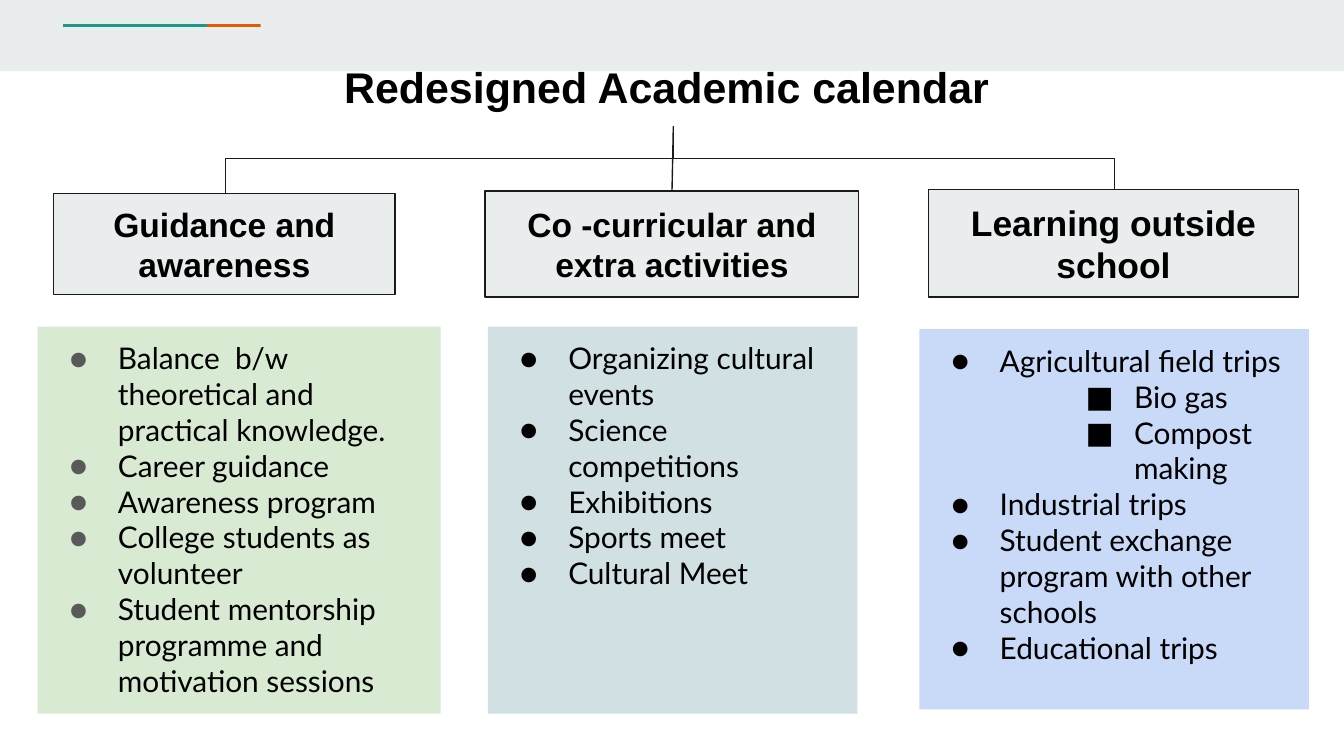
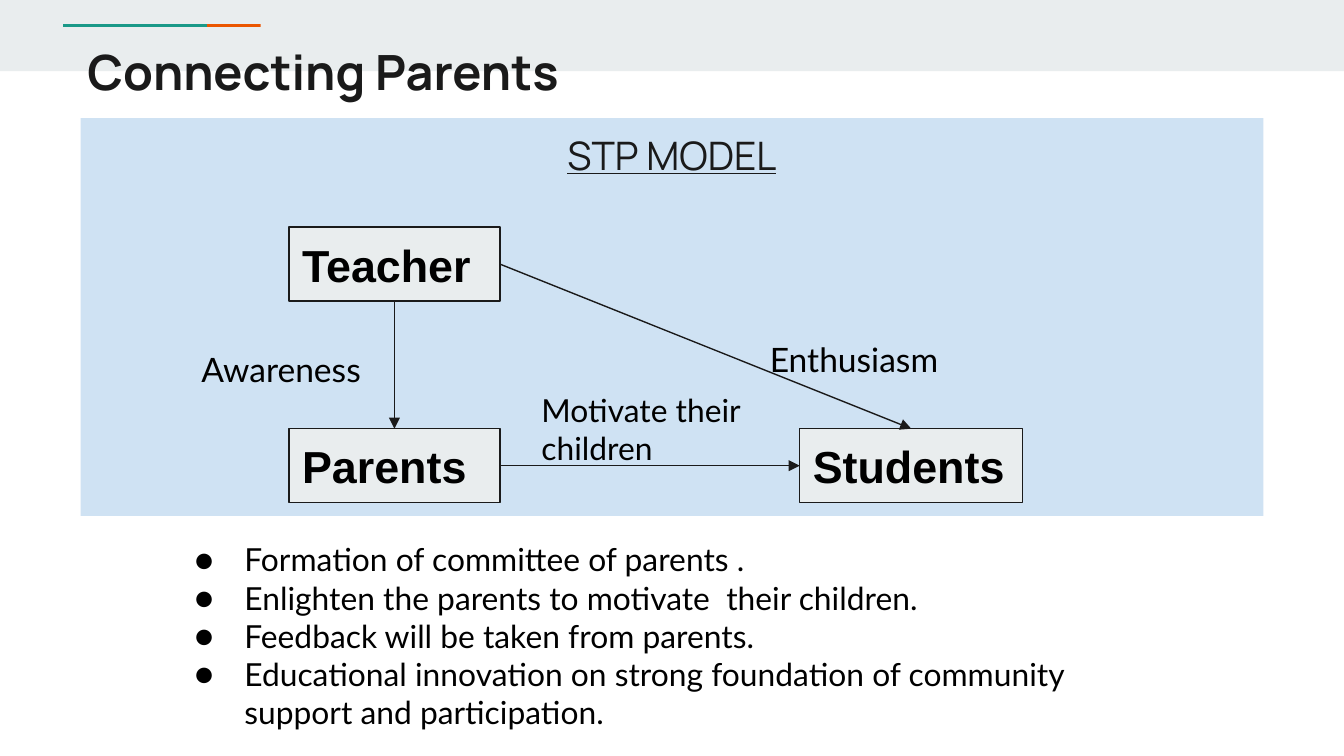
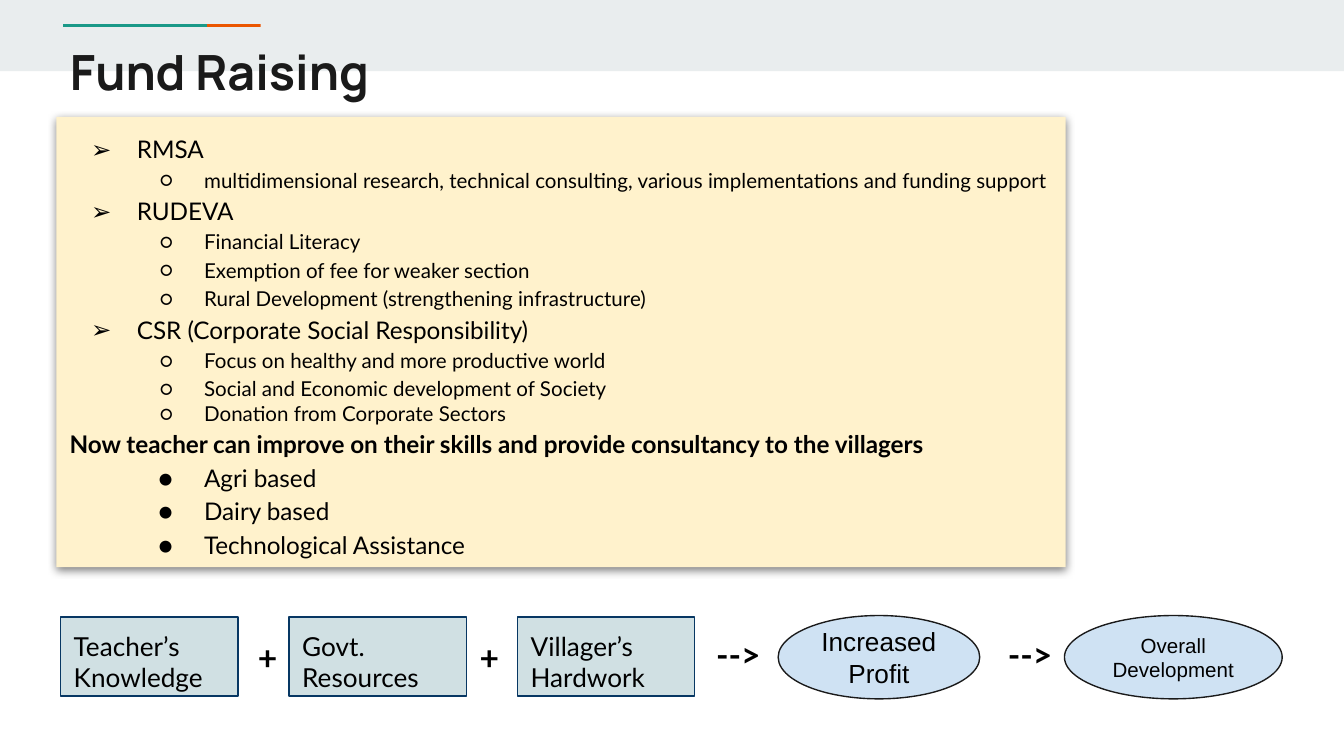
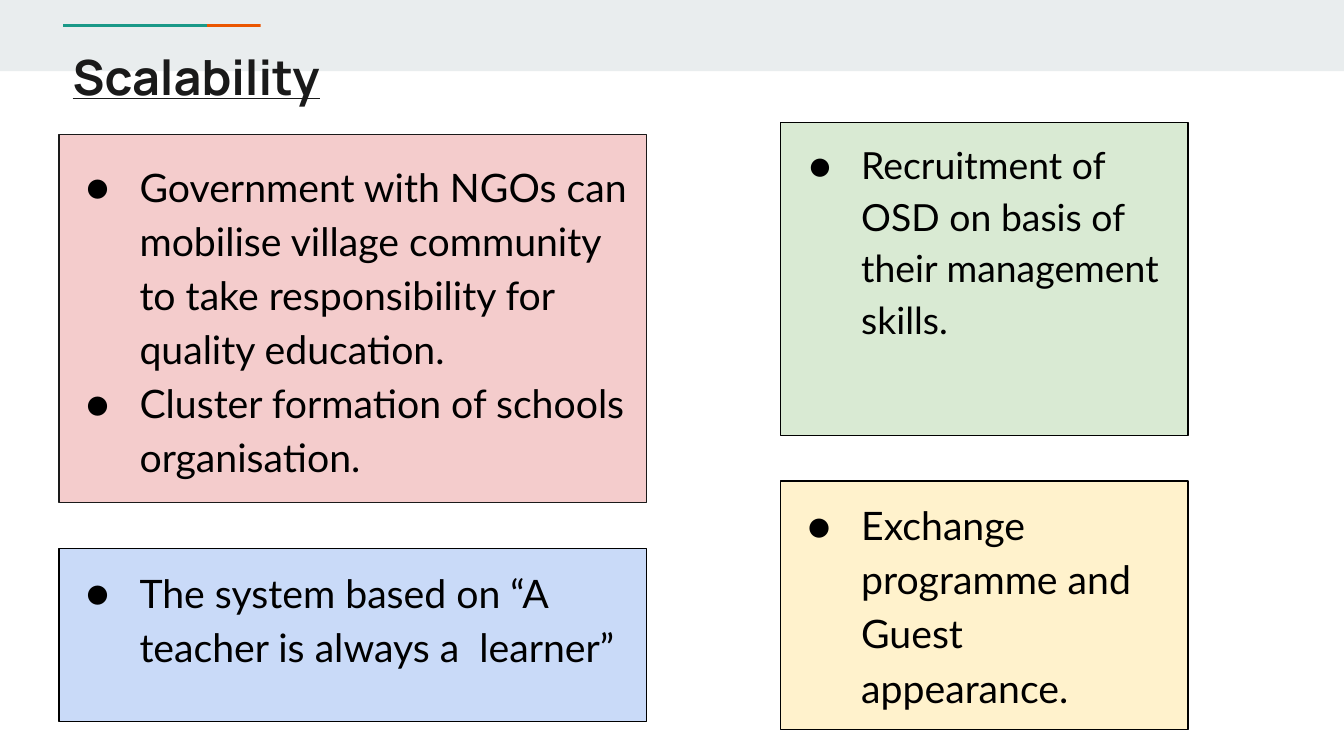
from dataclasses import dataclass

from lxml import etree
from pptx import Presentation
from pptx import util as u
from pptx.dml.color import RGBColor
from pptx.enum import shapes, text
from pptx.oxml.ns import qn

COLORS = {
    "black": "000000", "ink": "1A1A1A", "grey": "595959", "band": "E9EDEE",
    "orange": "EB5600", "teal": "1A9988", "green": "D9EAD3", "mist": "D0E0E3",
    "periwinkle": "C9DAF8", "sky": "CFE2F3", "cream": "FFF2CC", "rose": "F4CCCC",
    "navy": "073763",
}
RECT = shapes.MSO_SHAPE.RECTANGLE
OVAL = shapes.MSO_SHAPE.OVAL
TOP = text.MSO_ANCHOR.TOP
MIDDLE = text.MSO_ANCHOR.MIDDLE
LEFT = text.PP_ALIGN.LEFT
CENTER = text.PP_ALIGN.CENTER
LINE_WIDTH = u.Pt(0.75)
SLIDE_WIDTH = u.Inches(10)
SLIDE_HEIGHT = SLIDE_WIDTH * 9 // 16
Box = tuple[float, float, float, float]
Point = tuple[float, float]


@dataclass(frozen=True)
class Font:
    size: float
    face: str = "Lato"
    color: str = "black"
    bold: bool = False
    underline: bool = False


@dataclass(frozen=True)
class Line:
    text: str
    font: Font
    align: text.PP_ALIGN = LEFT
    indent: Point = (0, 0)
    bullet: str = ""
    bullet_color: str = "black"
    level: int = 0
    spacing: float = 1.0


@dataclass(frozen=True)
class Block:
    box: Box
    lines: list[Line]
    fill: str = ""
    outline: str = ""
    anchor: text.MSO_ANCHOR = TOP
    geometry: shapes.MSO_SHAPE = RECT
    shadow: bool = False


TITLE_FONT = Font(26, "Manrope", "ink", bold=True)


def rgb(name: str) -> RGBColor:
    return RGBColor.from_string(COLORS[name])


def bullets(items: list[str], size: float, hang: float, left: float = 0.5, mark: str = "●",
            color: str = "black", level: int = 0, spacing: float = 1.0) -> list[Line]:
    return [Line(item, Font(size), LEFT, (left, -hang), mark, color, level, spacing)
            for item in items]


def write_lines(frame, lines: list[Line], anchor=TOP) -> None:
    frame.word_wrap = True
    frame.auto_size = text.MSO_AUTO_SIZE.NONE
    frame.vertical_anchor = anchor
    frame.margin_left = frame.margin_right = u.Inches(0.1)
    frame.margin_top = frame.margin_bottom = u.Inches(0.1)
    frame.text = "\n".join(line.text for line in lines)
    for paragraph, line in zip(frame.paragraphs, lines):
        paragraph.alignment = line.align
        paragraph.level = line.level
        paragraph.line_spacing = line.spacing
        paragraph.space_before = u.Pt(0)
        properties = paragraph._p.get_or_add_pPr()
        left, first = line.indent
        properties.set("marL", str(u.Inches(left)))
        properties.set("indent", str(u.Inches(first)))
        if line.bullet:
            tint = etree.SubElement(properties, qn("a:buClr"))
            etree.SubElement(tint, qn("a:srgbClr"), val=COLORS[line.bullet_color])
            etree.SubElement(properties, qn("a:buFont"), typeface=line.font.face)
            etree.SubElement(properties, qn("a:buChar"), char=line.bullet)
        for run in paragraph.runs:
            run.font.size = u.Pt(line.font.size)
            run.font.name = line.font.face
            run.font.bold = line.font.bold
            run.font.underline = line.font.underline
            run.font.color.rgb = rgb(line.font.color)


def add_shadow(shape) -> None:
    effects = shape.element.spPr.find(qn("a:effectLst"))
    outer = etree.SubElement(effects, qn("a:outerShdw"), blurRad=str(u.Pt(4.5)),
                             dist=str(u.Pt(1.5)), dir="5400000", algn="bl", rotWithShape="0")
    tint = etree.SubElement(outer, qn("a:srgbClr"), val=COLORS["black"])
    etree.SubElement(tint, qn("a:alpha"), val="50000")


def draw(slide, block: Block):
    box = [u.Inches(length) for length in block.box]
    if block.fill:
        shape = slide.shapes.add_shape(block.geometry, *box)
        shape.shadow.inherit = False
        shape.fill.solid()
        shape.fill.fore_color.rgb = rgb(block.fill)
        if block.outline:
            shape.line.color.rgb = rgb(block.outline)
            shape.line.width = LINE_WIDTH
        else:
            shape.line.fill.background()
    else:
        shape = slide.shapes.add_textbox(*box)
    if block.shadow:
        add_shadow(shape)
    if block.lines:
        write_lines(shape.text_frame, block.lines, block.anchor)
    return shape


def add_line(slide, start: Point, end: Point, kind=shapes.MSO_CONNECTOR.STRAIGHT,
             arrow: bool = False):
    line = slide.shapes.add_connector(kind, *(u.Inches(value) for value in (*start, *end)))
    line.line.color.rgb = rgb("ink")
    line.line.width = LINE_WIDTH
    properties = line.element.spPr
    if arrow:
        etree.SubElement(properties.find(qn("a:ln")), qn("a:tailEnd"), type="triangle")
    etree.SubElement(properties, qn("a:effectLst"))
    return line


def add_branch(slide, start: Point, end: Point, bend_y: float) -> None:
    (x1, y1), (x2, y2) = start, end
    drop, reach = y2 - y1, abs(x2 - x1)
    middle_x, middle_y = (x1 + x2) / 2, (y1 + y2) / 2
    side = 1 if x2 < x1 else -1
    branch = add_line(slide, (middle_x - side * drop / 2, middle_y - reach / 2),
                      (middle_x + side * drop / 2, middle_y + reach / 2),
                      shapes.MSO_CONNECTOR.ELBOW)
    properties = branch.element.spPr
    properties.find(qn("a:xfrm")).set("rot", str((90 if side > 0 else 270) * 60000))
    guides = properties.find(qn("a:prstGeom")).find(qn("a:avLst"))
    share = round((bend_y - y1) / drop * 100000)
    etree.SubElement(guides, qn("a:gd"), name="adj1", fmla=f"val {share}")


def join(slide, source, source_side: int, target, target_side: int) -> None:
    arrow = add_line(slide, (0, 0), (1, 1), arrow=True)
    arrow.begin_connect(source, source_side)
    arrow.end_connect(target, target_side)


def decorate_layout(layout, slide) -> None:
    for placeholder in list(layout.placeholders):
        if placeholder.placeholder_format.idx:
            layout.shapes.element.remove(placeholder.element)
    for box, fill in (((0, 0, 10, 0.53), "band"),
                      ((0.88, 0.18, 1.06, 0.02), "orange"),
                      ((0.47, 0.18, 1.07, 0.02), "teal")):
        layout.shapes.element.append(draw(slide, Block(box, [], fill)).element)


def add_slide(deck, title: str, box: Box, font: Font = TITLE_FONT, indent: float = 0):
    slide = deck.slides.add_slide(deck.slide_layouts[5])
    heading = slide.shapes.title
    heading.left, heading.top, heading.width, heading.height = (u.Inches(v) for v in box)
    write_lines(heading.text_frame, [Line(title, font, indent=(indent, 0))])
    return slide


def academic_calendar(deck):
    slide = add_slide(deck, "Redesigned Academic calendar", (0.46, 0.35, 9.09, 0.59),
                      Font(23, "Arial", bold=True), indent=2)
    headings = [
        draw(slide, Block(box, [Line(name, Font(size, "Arial", bold=True), CENTER)],
                          "band", "ink", MIDDLE))
        for box, name, size in (
            ((0.4, 1.44, 2.54, 0.75), "Guidance and awareness", 18),
            ((3.61, 1.42, 2.78, 0.79), "Co -curricular and extra activities", 18),
            ((6.91, 1.41, 2.75, 0.8), "Learning outside school", 19))
    ]
    root = (5.01, 0.94)
    for end in ((1.68, 1.44), (8.29, 1.41)):
        add_branch(slide, root, end, 1.18)

    guidance = bullets(["Balance  b/w theoretical and practical knowledge.", "Career guidance",
                        "Awareness program", "College students as volunteer",
                        "Student mentorship programme and motivation sessions"],
                       16, 0.36, color="grey")
    activities = bullets(["Organizing cultural events", "Science competitions", "Exhibitions",
                          "Sports meet", "Cultural Meet"], 16, 0.36)
    trips = (bullets(["Agricultural field trips"], 16, 0.36)
             + bullets(["Bio gas", "Compost making"], 16, 0.36, 1.5, "■", level=2)
             + bullets(["Industrial trips", "Student exchange program with other schools",
                        "Educational trips"], 16, 0.36))
    for box, lines, fill in (((0.28, 2.43, 3, 2.88), guidance, "green"),
                             ((3.63, 2.43, 2.75, 2.88), activities, "mist"),
                             ((6.84, 2.45, 2.9, 2.83), trips, "periwinkle")):
        draw(slide, Block(box, lines, fill))
    add_line(slide, root, (5, 1.42)).end_connect(headings[1], 0)
    return slide


def connecting_parents(deck) -> None:
    slide = add_slide(deck, "Connecting Parents", (0.55, 0.21, 8.41, 0.67))
    draw(slide, Block((1.22, 3.92, 7.57, 1.7), bullets([
        "Formation of committee of parents .",
        "Enlighten the parents to motivate  their children.",
        "Feedback will be taken from parents.",
        "Educational innovation on strong foundation of community support and participation.",
    ], 17, 0.37)))
    model = Line("STP MODEL", Font(21, "Manrope", "ink", underline=True), CENTER)
    draw(slide, Block((0.6, 0.88, 8.8, 2.96), [model], "sky"))
    teacher, parents, students = (
        draw(slide, Block((left, top, width, 0.55), [Line(role, Font(24, "Arial", bold=True))],
                          "band", "ink", MIDDLE))
        for role, left, top, width in (("Teacher", 2.15, 1.69, 1.57),
                                       ("Parents", 2.15, 3.19, 1.57),
                                       ("Students", 5.95, 3.19, 1.66)))
    join(slide, teacher, 2, parents, 0)
    join(slide, parents, 3, students, 1)
    for label, box, size in (("Enthusiasm", (5.63, 2.42, 1.57, 0.44), 18),
                             ("Motivate their children", (3.93, 2.81, 1.81, 0.84), 17),
                             ("Awareness", (1.4, 2.5, 1.42, 0.43), 18)):
        draw(slide, Block(box, [Line(label, Font(size))]))
    join(slide, teacher, 3, students, 0)


def fund_raising(deck) -> None:
    slide = add_slide(deck, "Fund Raising", (0.42, 0.21, 8.41, 0.59))
    sources = {
        "RMSA": ["multidimensional research, technical consulting, "
                 "various implementations and funding support"],
        "RUDEVA": ["Financial Literacy", "Exemption of fee for weaker section",
                   "Rural Development (strengthening infrastructure)"],
        "CSR (Corporate Social Responsibility)": [
            "Focus on healthy and more productive world",
            "Social and Economic development of Society"],
    }
    lines = []
    for source, benefits in sources.items():
        lines += bullets([source], 13, 0.34, mark="➢", spacing=1.15)
        lines += bullets(benefits, 11, 0.33, 1, "○", level=1, spacing=1.15)
    lines += bullets(["Donation from Corporate Sectors"], 11, 0.33, 1, "○", level=1)
    lines.append(Line("Now teacher can improve on their skills and provide consultancy "
                      "to the villagers", Font(13, bold=True), spacing=1.15))
    lines += bullets(["Agri based", "Dairy based", "Technological Assistance"],
                     13, 0.34, 1, spacing=1.15)
    draw(slide, Block((0.42, 0.87, 7.51, 3.35), lines, "cream", shadow=True))

    for index, asset in enumerate(("Teacher’s Knowledge", "Govt. Resources",
                                   "Villager’s Hardwork")):
        draw(slide, Block((0.45 + index * 1.7, 4.59, 1.32, 0.59), [Line(asset, Font(14))],
                          "mist", "navy"))
    for sign, box in (("+", (1.82, 4.76, 0.28, 0.26)), ("+", (3.47, 4.76, 0.28, 0.26)),
                      ("-->", (5.23, 4.72, 0.69, 0.3)), ("-->", (7.4, 4.72, 0.69, 0.3))):
        draw(slide, Block(box, [Line(sign, Font(18, bold=True))], anchor=MIDDLE))
    for outcome, left, width, size in (("Increased Profit", 5.79, 1.5, 14),
                                       ("Overall Development", 7.92, 1.62, 11)):
        draw(slide, Block((left, 4.58, width, 0.62), [Line(outcome, Font(size, "Arial"), CENTER)],
                          "sky", "ink", MIDDLE, OVAL))


def scalability(deck) -> None:
    slide = add_slide(deck, "Scalability", (0.44, 0.25, 8.41, 0.59),
                      Font(26, "Manrope", "ink", bold=True, underline=True))
    for box, items, size, hang, fill, outline, anchor in (
        ((0.44, 1, 4.37, 2.74),
         ["Government with NGOs can mobilise village community to take responsibility "
          "for quality education.", "Cluster formation of schools organisation."],
         21, 0.4, "rose", "ink", MIDDLE),
        ((5.81, 0.91, 3.03, 2.33),
         ["Recruitment of OSD on basis of their management skills."],
         20, 0.39, "green", "black", TOP),
        ((5.81, 3.58, 3.03, 1.85), ["Exchange programme and Guest appearance."],
         21, 0.4, "cream", "black", TOP),
        ((0.44, 4.08, 4.37, 1.29), ["The system based on “A teacher is always a  learner”"],
         21, 0.4, "periwinkle", "black", TOP),
    ):
        draw(slide, Block(box, bullets(items, size, hang, spacing=1.15), fill, outline, anchor))


def main() -> None:
    deck = Presentation()
    deck.slide_width = SLIDE_WIDTH
    deck.slide_height = SLIDE_HEIGHT
    first = academic_calendar(deck)
    decorate_layout(first.slide_layout, first)
    connecting_parents(deck)
    fund_raising(deck)
    scalability(deck)
    deck.save("out.pptx")


if __name__ == "__main__":
    main()
